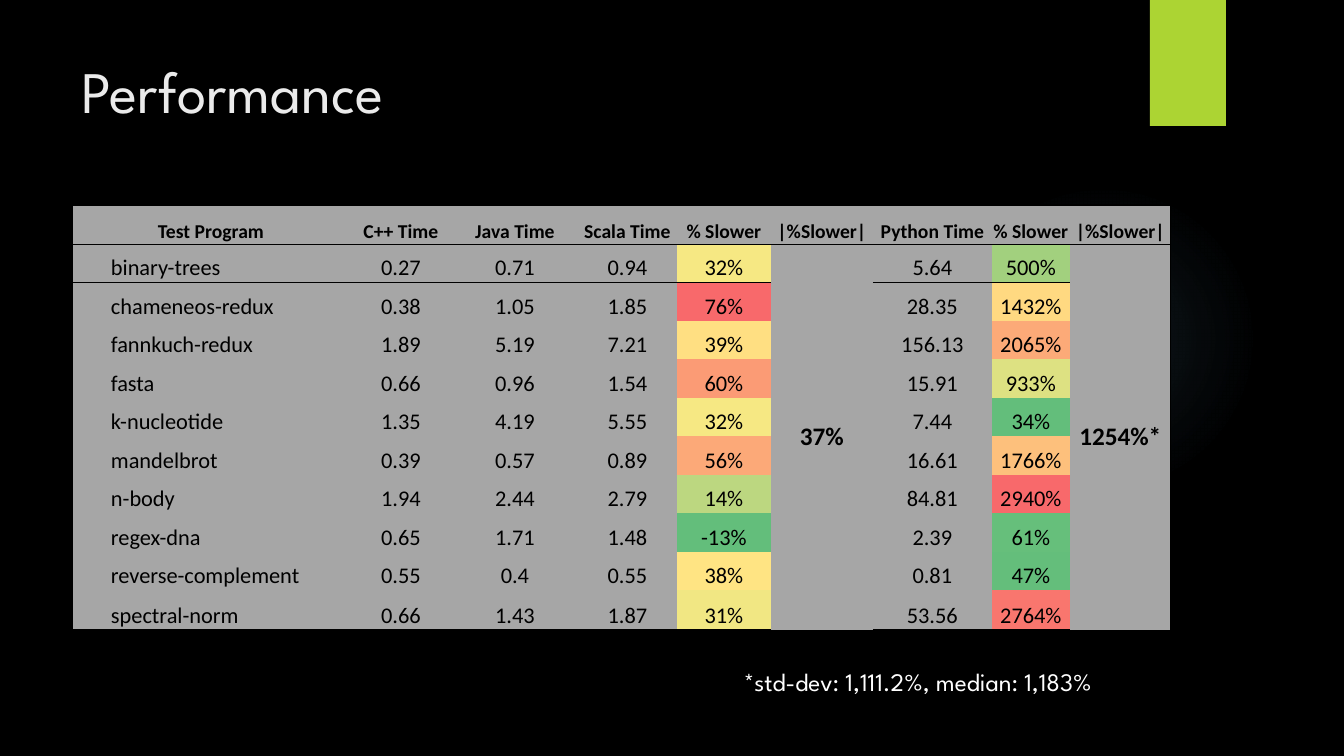
from lxml.etree import SubElement
from pptx import Presentation
from pptx.dml.color import RGBColor
from pptx.enum.shapes import MSO_SHAPE
from pptx.enum.text import MSO_ANCHOR, MSO_AUTO_SIZE, PP_ALIGN
from pptx.oxml import parse_xml
from pptx.oxml.ns import nsdecls, qn
from pptx.util import Emu, Pt

BLACK, GREY, LIME, GLOW = "000000", "A6A6A6", "ACD433", "7AC4F0"
HEAD_FONT, CELL_FONT = "League Spartan", "Calibri"
NO_GRID = "{2D5ABB26-0587-4C30-8999-92F81FD0307C}"

HEADS = ["Test Program", "", "C++ Time", "Java Time", "Scala Time", "% Slower",
         "|%Slower|", "Python Time", "% Slower", "|%Slower|"]
WIDTHS = [38, 240, 102, 126, 99, 94, 102, 119, 78, 101]
HEIGHTS = [39, 38] * 5 + [40]
# program, C++, Java, Scala, slower, its fill, Python, slower, its fill
TESTS = [
    ("binary-trees", "0.27", "0.71", "0.94", "32%", "F6E883", "5.64", "500%", "A2D07E"),
    ("chameneos-redux", "0.38", "1.05", "1.85", "76%", "F8696B", "28.35", "1432%", "FFD981"),
    ("fannkuch-redux", "1.89", "5.19", "7.21", "39%", "FFDF82", "156.13", "2065%", "FCAA78"),
    ("fasta", "0.66", "0.96", "1.54", "60%", "FB9B75", "15.91", "933%", "DDE182"),
    ("k-nucleotide", "1.35", "4.19", "5.55", "32%", "F6E883", "7.44", "34%", "63BE7B"),
    ("mandelbrot", "0.39", "0.57", "0.89", "56%", "FCA978", "16.61", "1766%", "FDC07C"),
    ("n-body", "1.94", "2.44", "2.79", "14%", "BCD780", "84.81", "2940%", "F8696B"),
    ("regex-dna", "0.65", "1.71", "1.48", "-13%", "63BE7B", "2.39", "61%", "66BF7B"),
    ("reverse-complement", "0.55", "0.4", "0.55", "38%", "FFE483", "0.81", "47%", "64BE7B"),
    ("spectral-norm", "0.66", "1.43", "1.87", "31%", "F1E783", "53.56", "2764%", "F9766E"),
]
MEANS = {6: "37%", 9: "1254%*"}


def px(n):
    return Emu(round(n * 914400 / 100.8))


def paint(fill, color):
    fill.solid()
    fill.fore_color.rgb = RGBColor.from_string(color)


def style(para, size, font, color, bold=False):
    for part in [para, *para.runs]:
        part.font.size = Pt(size)
        part.font.name = font
        part.font.bold = bold
        paint(part.font.fill, color)


def add_plain(slide, kind, box):
    """Add a preset shape without line or shadow."""
    shape = slide.shapes.add_shape(kind, *map(px, box))
    shape.shadow.inherit = False
    shape.line.fill.background()
    return shape


def add_glow(slide, box):
    glow = add_plain(slide, MSO_SHAPE.OVAL, box)
    stops = "".join(
        f'<a:gs pos="{pos * 1000}"><a:srgbClr val="{GLOW}">'
        f'<a:alpha val="{alpha * 1000}"/></a:srgbClr></a:gs>'
        for pos, alpha in [(0, 7), (36, 6), (69, 0), (100, 0)])
    grad = parse_xml(
        f'<a:gradFill {nsdecls("a")}><a:gsLst>{stops}</a:gsLst><a:path path="circle">'
        '<a:fillToRect l="50000" t="50000" r="50000" b="50000"/></a:path></a:gradFill>')
    glow.element.spPr.find(qn("a:prstGeom")).addnext(grad)


def add_tab(slide, box):
    paint(add_plain(slide, MSO_SHAPE.RECTANGLE, box).fill, LIME)


def add_text(slide, box, text, size, color, wrap=True):
    frame = slide.shapes.add_textbox(*map(px, box)).text_frame
    frame.word_wrap = wrap
    if not wrap:
        frame.auto_size = MSO_AUTO_SIZE.SHAPE_TO_FIT_TEXT
    frame.text = text
    style(frame.paragraphs[0], size, HEAD_FONT, color)


def add_edges(cell, row, col):
    """Frame the table and rule off its header."""
    last = len(TESTS)
    edges = {"a:lnL": 1 if col == 0 else 0,
             "a:lnR": 1 if col == len(HEADS) - 1 else 0,
             "a:lnT": {0: 1, 1: 0.5}.get(row, 0),
             "a:lnB": {0: 0.5, last: 1}.get(row, 0)}
    props = cell._tc.get_or_add_tcPr()
    for tag, width in edges.items():
        if width:
            line = SubElement(props, qn(tag), w=str(Pt(width)))
            solid = SubElement(line, qn("a:solidFill"))
            SubElement(solid, qn("a:srgbClr"), val=BLACK)


def fill_cell(cell, row, col, text, fill):
    mean = row == 1 and col in MEANS
    cell.margin_left = cell.margin_right = cell.margin_top = px(1)
    cell.margin_bottom = 0
    cell.vertical_anchor = MSO_ANCHOR.MIDDLE if mean else MSO_ANCHOR.BOTTOM
    cell.text_frame.text = text
    para = cell.text_frame.paragraphs[0]
    para.alignment = PP_ALIGN.LEFT if row and col == 1 else PP_ALIGN.CENTER
    size = 14 if row == 0 else 18 if mean else 16
    style(para, size, CELL_FONT, BLACK, row == 0 or mean)
    add_edges(cell, row, col)
    paint(cell.fill, fill)


def add_times(slide, left, top):
    count = len(TESTS) + 1
    frame = slide.shapes.add_table(count, len(HEADS), px(left), px(top),
                                   px(sum(WIDTHS)), px(sum(HEIGHTS)))
    frame.element.find(".//" + qn("a:tableStyleId")).text = NO_GRID
    table = frame.table
    table.first_row = table.horz_banding = False
    for part, width in zip(table.columns, WIDTHS):
        part.width = px(width)
    for part, height in zip(table.rows, HEIGHTS):
        part.height = px(height)

    grid = [(HEADS, {})]
    for row, test in enumerate(TESTS, 1):
        name, cpp, java, scala, slow, tint, python, lag, shade = test
        first, last = [MEANS[col] if row == 1 else "" for col in MEANS]
        texts = ["", name, cpp, java, scala, slow, first, python, lag, last]
        grid.append((texts, {5: tint, 8: shade}))
    for row, (texts, fills) in enumerate(grid):
        for col, text in enumerate(texts):
            fill_cell(table.cell(row, col), row, col, text, fills.get(col, GREY))

    table.cell(0, 0).merge(table.cell(0, 1))
    for col in MEANS:
        table.cell(1, col).merge(table.cell(count - 1, col))


def main():
    deck = Presentation()
    deck.slide_width, deck.slide_height = px(1344), px(756)
    slide = deck.slides.add_slide(deck.slide_layouts[6])
    paint(slide.background.fill, BLACK)
    add_glow(slide, (949, 184, 310, 310))
    add_tab(slide, (1150, 0, 76, 126))
    add_text(slide, (72, 50, 1037, 154), "Performance", 42, "EBEBEB")
    add_times(slide, 72, 205)
    add_text(slide, (734, 661, 451, 40), "*std-dev: 1,111.2%, median: 1,183%",
             18, "FFFFFF", wrap=False)
    deck.save("out.pptx")


if __name__ == "__main__":
    main()
